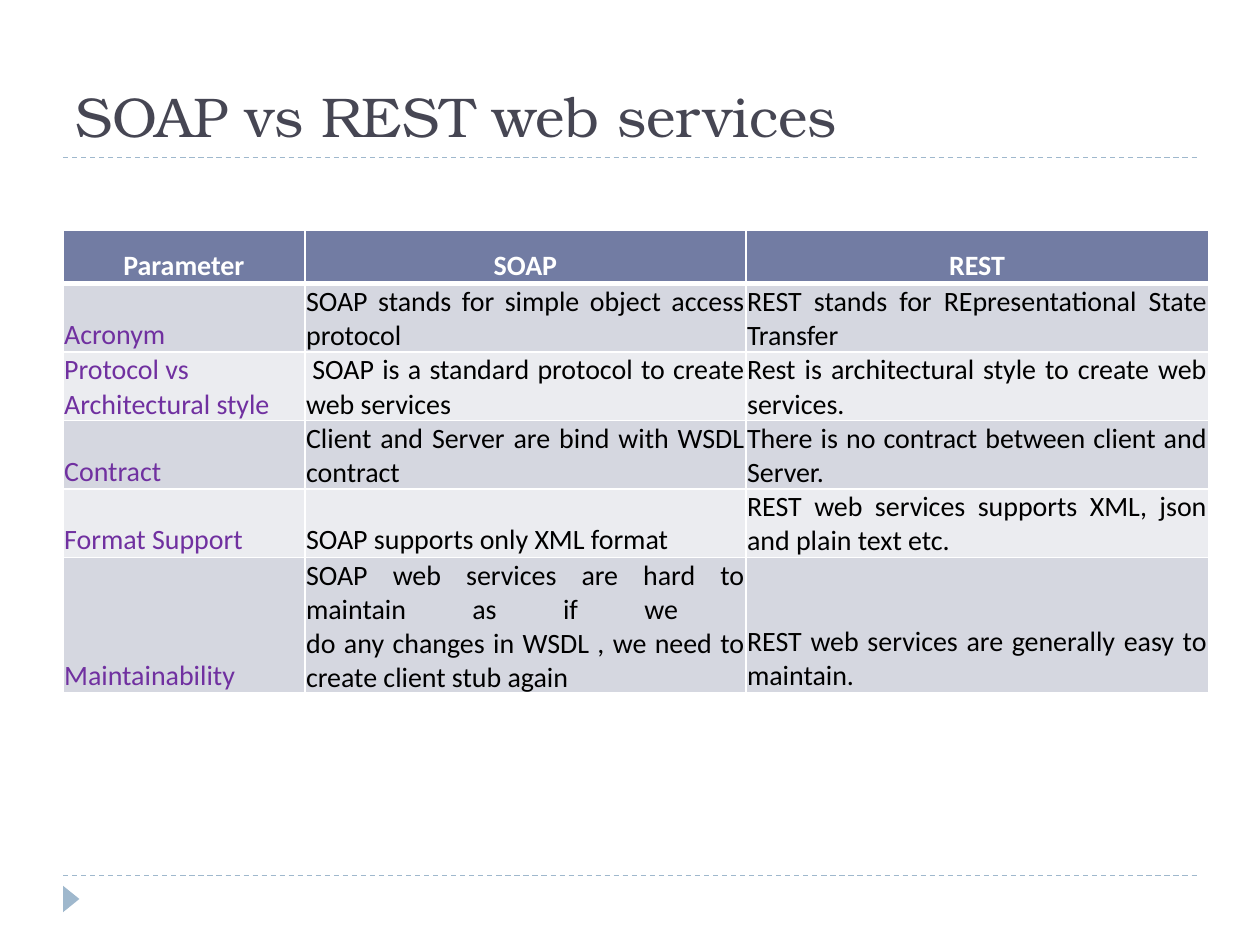
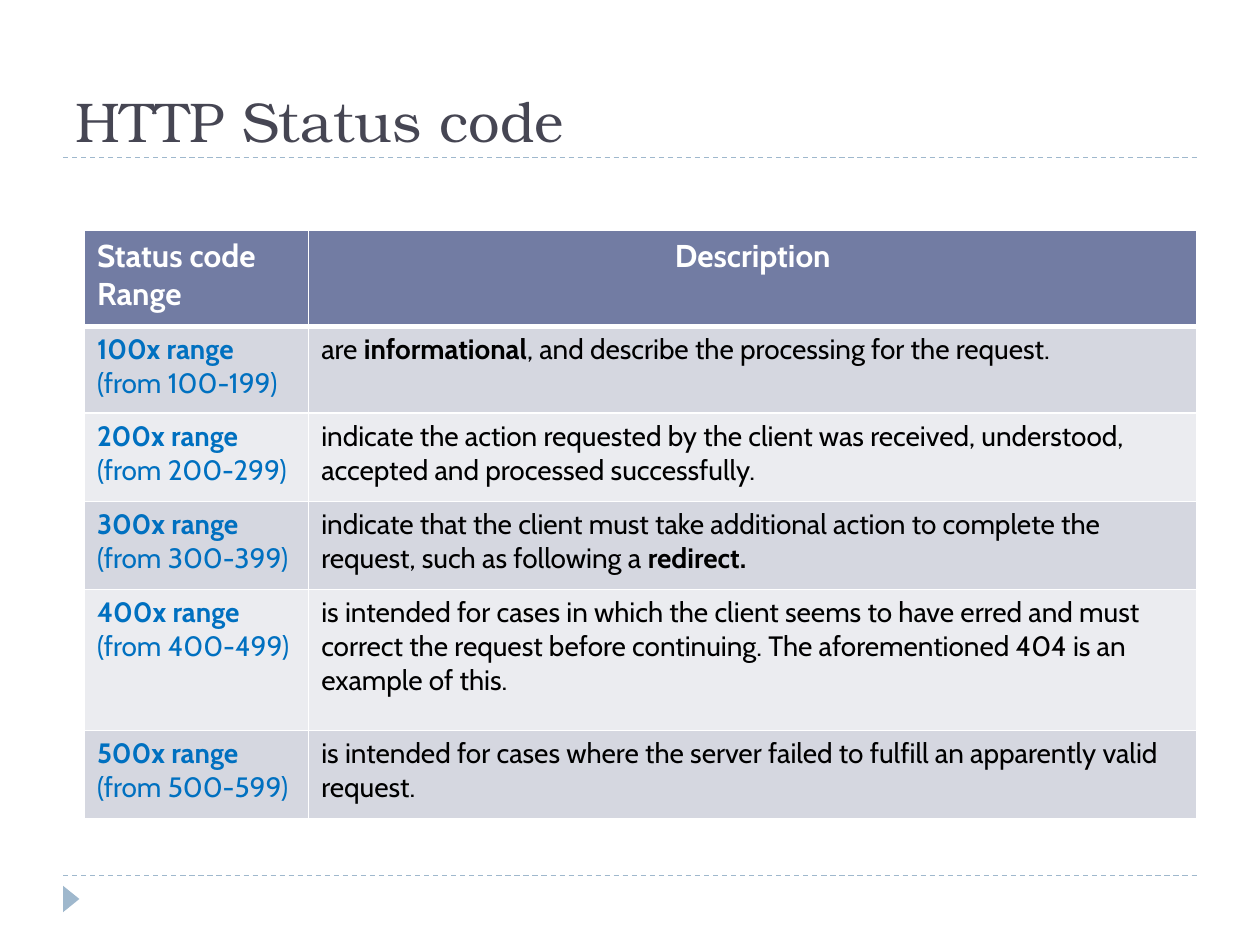
from dataclasses import dataclass

from lxml.etree import SubElement
from pptx import Presentation
from pptx.dml.color import RGBColor
from pptx.enum.dml import MSO_LINE
from pptx.enum.shapes import MSO_CONNECTOR, MSO_SHAPE
from pptx.enum.text import MSO_ANCHOR, PP_ALIGN
from pptx.oxml.ns import qn
from pptx.slide import Slide
from pptx.table import _Cell
from pptx.text.text import _Paragraph
from pptx.util import Inches, Pt

WHITE = RGBColor(0xFF, 0xFF, 0xFF)
BLACK = RGBColor(0x00, 0x00, 0x00)
TITLE_COLOR = RGBColor(0x46, 0x46, 0x53)
ACCENT = RGBColor(0x9F, 0xB8, 0xCD)
HEADER_FILL = RGBColor(0x72, 0x7C, 0xA3)
BAND_FILLS = (RGBColor(0xD5, 0xD7, 0xE0), RGBColor(0xEB, 0xEC, 0xF0))
PURPLE = RGBColor(0x70, 0x30, 0xA0)
BLUE = RGBColor(0x00, 0x70, 0xC0)

TITLE_FONT = "TeX Gyre Bonum"
RULE_LEFT, RULE_RIGHT = 0.5, 9.5
RULE_TOPS = (6.95, 1.25)
TABLE_TOP = 1.83
BODY_SIZE = 16
BOLD_MARK = "*"


@dataclass(frozen=True)
class TableStyle:
    """Look of a table; margins run left, top, right, bottom in inches."""
    font: str
    header_size: int
    label_color: RGBColor
    header_alignments: tuple[PP_ALIGN, ...]
    body_alignments: tuple[PP_ALIGN, ...]
    anchor: MSO_ANCHOR
    margins: tuple[float, float, float, float]


@dataclass(frozen=True)
class TableSlide:
    """A titled slide with one table. Text between asterisks is bold."""
    title: str
    title_top: float
    title_height: float
    table_left: float
    column_widths: tuple[float, ...]
    row_heights: tuple[float, ...]
    style: TableStyle
    rows: tuple[tuple[str, ...], ...]


COMPARISON_STYLE = TableStyle(
    font="Calibri",
    header_size=16,
    label_color=PURPLE,
    header_alignments=(PP_ALIGN.CENTER,) * 3,
    body_alignments=(PP_ALIGN.LEFT, PP_ALIGN.JUSTIFY, PP_ALIGN.JUSTIFY),
    anchor=MSO_ANCHOR.BOTTOM,
    margins=(0.01, 0.01, 0.01, 0),
)
STATUS_STYLE = TableStyle(
    font="Cabin",
    header_size=18,
    label_color=BLUE,
    header_alignments=(PP_ALIGN.LEFT, PP_ALIGN.CENTER),
    body_alignments=(PP_ALIGN.LEFT, PP_ALIGN.LEFT),
    anchor=MSO_ANCHOR.TOP,
    margins=(0.1, 0.05, 0.1, 0.05),
)

SLIDES = (
    TableSlide(
        title="SOAP vs REST web services",
        title_top=0.42,
        title_height=0.81,
        table_left=0.5,
        column_widths=(1.92, 3.5, 3.67),
        row_heights=(0.42, 0.5, 0.5, 0.5, 0.5, 0.69),
        style=COMPARISON_STYLE,
        rows=(
            ("*Parameter*", "*SOAP*", "*REST*"),
            ("Acronym", "SOAP stands for simple object access protocol",
             "REST stands for REpresentational State Transfer"),
            ("Protocol vs \nArchitectural style",
             "\u00a0SOAP is a standard protocol to create web services",
             "Rest is architectural style to create web services."),
            ("Contract", "Client and Server are bind with WSDL contract",
             "There is no contract between client and Server."),
            ("Format Support", "SOAP supports only XML format",
             "REST web services supports XML, json and plain text etc."),
            ("Maintainability",
             "SOAP web services are hard to maintain as if we \v"
             "do any changes in WSDL , we need to create client stub again",
             "REST web services are generally easy to maintain."),
        ),
    ),
    TableSlide(
        title="HTTP Status code",
        title_top=0.33,
        title_height=0.94,
        table_left=0.67,
        column_widths=(1.78, 7.05),
        row_heights=(0.76, 0.69, 0.7, 0.7, 1.12, 0.7),
        style=STATUS_STYLE,
        rows=(
            ("*Status code Range*", "*Description*"),
            ("*100x range\u00a0*\n(from 100-199) ",
             "are\u00a0*informational*, and describe the processing for the "
             "request."),
            ("*200x range\u00a0*\n(from 200-299) ",
             "indicate the action requested by the client was received, "
             "understood, accepted and processed successfully."),
            ("*300x range*\n(from 300-399) ",
             "indicate that the client must take additional action to complete "
             "the request, such as following a\u00a0*redirect.*"),
            ("*400x range\u00a0*\n(from 400-499) ",
             "is intended for cases in which the client seems to have erred "
             "and must correct the request before continuing. The "
             "aforementioned 404 is an example of this."),
            ("*500x range\u00a0*\n(from 500-599)",
             "is intended for cases where the server failed to fulfill an "
             "apparently valid request."),
        ),
    ),
)


def add_rule(slide: Slide, top: float) -> None:
    """Draw a dashed line across the slide."""
    rule = slide.shapes.add_connector(
        MSO_CONNECTOR.STRAIGHT, Inches(RULE_LEFT), Inches(top),
        Inches(RULE_RIGHT), Inches(top))
    rule.line.color.rgb = ACCENT
    rule.line.width = Pt(0.75)
    rule.line.dash_style = MSO_LINE.DASH
    SubElement(rule._element.spPr, qn("a:effectLst"))


def add_frame(slide: Slide) -> None:
    """Draw the rules and the footer marker that every slide shares."""
    for top in RULE_TOPS:
        add_rule(slide, top)
    marker = slide.shapes.add_shape(
        MSO_SHAPE.ISOSCELES_TRIANGLE,
        Inches(0.46), Inches(7.07), Inches(0.21), Inches(0.13))
    marker.rotation = 90
    marker.shadow.inherit = False
    marker.fill.solid()
    marker.fill.fore_color.rgb = ACCENT
    marker.line.fill.background()


def add_title(slide: Slide, content: TableSlide) -> None:
    """Write the slide title, resting on the upper rule."""
    title = slide.shapes.add_textbox(
        Inches(RULE_LEFT), Inches(content.title_top),
        Inches(RULE_RIGHT - RULE_LEFT), Inches(content.title_height))
    text_frame = title.text_frame
    text_frame.word_wrap = True
    text_frame.vertical_anchor = MSO_ANCHOR.BOTTOM
    text_frame.text = content.title
    font = text_frame.paragraphs[0].runs[0].font
    font.name = TITLE_FONT
    font.size = Pt(32)
    font.color.rgb = TITLE_COLOR


def set_borders(cell: _Cell, top: float, bottom: float) -> None:
    """Give a cell white borders: 1 pt at the sides, set widths elsewhere."""
    properties = cell._tc.get_or_add_tcPr()
    widths = {"a:lnL": 1, "a:lnR": 1, "a:lnT": top, "a:lnB": bottom}
    for tag, width in widths.items():
        border = SubElement(properties, qn(tag), w=str(Pt(width)))
        fill = SubElement(border, qn("a:solidFill"))
        SubElement(fill, qn("a:srgbClr"), val=str(WHITE))


def write_paragraph(paragraph: _Paragraph, marked_text: str, font_name: str,
                    size: int, color: RGBColor) -> None:
    """Write text into a paragraph, with the marked parts in bold."""
    for index, part in enumerate(marked_text.split(BOLD_MARK)):
        if not part:
            continue
        for line_index, line in enumerate(part.split("\v")):
            if line_index:
                paragraph.add_line_break()
            run = paragraph.add_run()
            run.text = line
            run.font.name = font_name
            run.font.size = Pt(size)
            run.font.bold = index % 2 == 1
            run.font.color.rgb = color


def fill_cell(cell: _Cell, text: str, row: int, column: int,
              style: TableStyle) -> None:
    """Format one table cell by its row and column and write its text."""
    is_header = row == 0
    set_borders(cell, top=3 if row == 1 else 1, bottom=3 if is_header else 1)
    cell.fill.solid()
    cell.vertical_anchor = style.anchor
    (cell.margin_left, cell.margin_top,
     cell.margin_right, cell.margin_bottom) = map(Inches, style.margins)
    if is_header:
        background, color, size = HEADER_FILL, WHITE, style.header_size
        alignment = style.header_alignments[column]
    else:
        background, size = BAND_FILLS[(row - 1) % 2], BODY_SIZE
        color = style.label_color if column == 0 else BLACK
        alignment = style.body_alignments[column]
    cell.fill.fore_color.rgb = background
    text_frame = cell.text_frame
    for index, line in enumerate(text.split("\n")):
        paragraph = (text_frame.add_paragraph() if index
                     else text_frame.paragraphs[0])
        paragraph.alignment = alignment
        write_paragraph(paragraph, line, style.font, size, color)


def add_content_table(slide: Slide, content: TableSlide) -> None:
    """Build the table of a slide."""
    table = slide.shapes.add_table(
        len(content.rows), len(content.column_widths),
        Inches(content.table_left), Inches(TABLE_TOP),
        Inches(sum(content.column_widths)),
        Inches(sum(content.row_heights))).table
    table.horz_banding = False
    for column, width in zip(table.columns, content.column_widths):
        column.width = Inches(width)
    for row, height in zip(table.rows, content.row_heights):
        row.height = Inches(height)
    for row_index, texts in enumerate(content.rows):
        for column_index, text in enumerate(texts):
            fill_cell(table.cell(row_index, column_index), text,
                      row_index, column_index, content.style)


def main() -> None:
    """Build and save the presentation."""
    presentation = Presentation()
    presentation.slide_width = Inches(10)
    presentation.slide_height = Inches(7.5)
    blank_layout = presentation.slide_layouts[6]
    for content in SLIDES:
        slide = presentation.slides.add_slide(blank_layout)
        add_frame(slide)
        add_title(slide, content)
        add_content_table(slide, content)
    presentation.save("out.pptx")


main()
